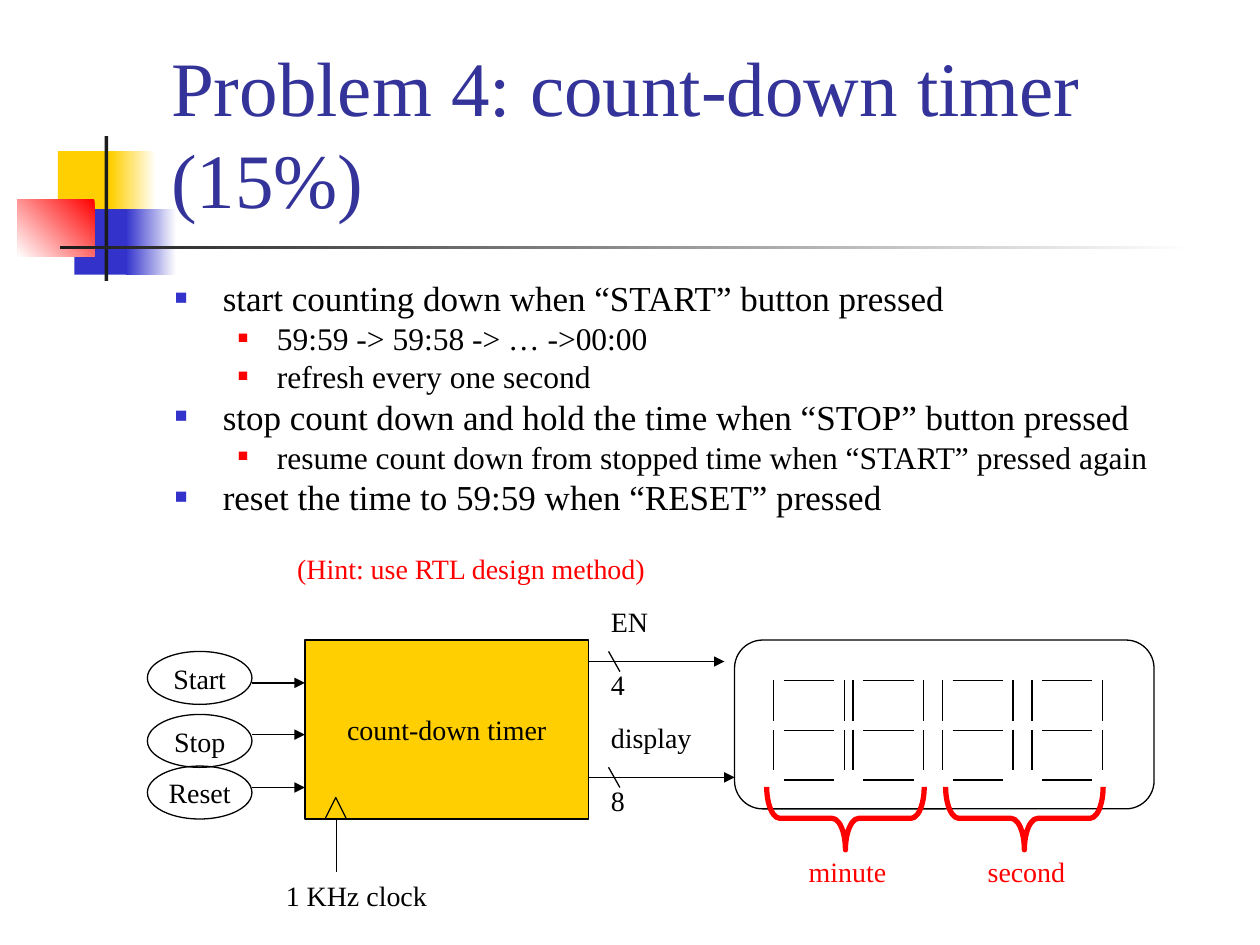
from dataclasses import dataclass

from lxml.etree import SubElement
from pptx import Presentation
from pptx.dml.color import RGBColor as Rgb
from pptx.enum.shapes import MSO_CONNECTOR as Connector
from pptx.enum.shapes import MSO_SHAPE as Preset
from pptx.enum.text import MSO_ANCHOR as Anchor
from pptx.enum.text import MSO_AUTO_SIZE as AutoSize
from pptx.enum.text import PP_ALIGN as Align
from pptx.oxml.ns import qn
from pptx.util import Inches, Pt


@dataclass(frozen=True)
class Theme:
    font: str = "Times New Roman"
    black: str = "000000"
    white: str = "FFFFFF"
    yellow: str = "FFCF01"
    blue: str = "3333CC"
    red: str = "FF0000"
    charcoal: str = "1C1C1C"
    title: str = "333399"
    title_size: int = 44
    label_size: int = 16
    thin: float = 0.75
    thick: float = 3


@dataclass(frozen=True)
class Level:
    size: int
    bullet_color: str
    bullet_percent: int
    indent: float
    hanging: float
    space: float


THEME = Theme()
LEVELS = (
    Level(20, THEME.blue, 60, 0.38, 0.38, 5),
    Level(18, THEME.red, 55, 0.81, 0.31, 4.5),
)


def write(para, text, size=THEME.label_size, color=THEME.black, align=None):
    span = para.add_run()
    span.text = text
    span.font.name = THEME.font
    span.font.size = Pt(size)
    span.font.color.rgb = Rgb.from_string(color)
    if align is not None:
        para.alignment = align


class SlideBuilder:
    def __init__(self, slide, theme):
        self.shapes = slide.shapes
        self.theme = theme

    def shape(self, preset, left, top, width, height, fill=None, line=None,
              weight=THEME.thin, fade=None, angle=180, text=None):
        shape = self.shapes.add_shape(
            preset, Inches(left), Inches(top), Inches(width), Inches(height))
        shape.shadow.inherit = False
        if fade:
            shape.fill.gradient()
            shape.fill.gradient_angle = 360 - angle
            for stop, color in zip(shape.fill.gradient_stops, fade):
                stop.color.rgb = Rgb.from_string(color)
        elif fill:
            shape.fill.solid()
            shape.fill.fore_color.rgb = Rgb.from_string(fill)
        else:
            shape.fill.background()
        if line:
            shape.line.color.rgb = Rgb.from_string(line)
            shape.line.width = Pt(weight)
        else:
            shape.line.fill.background()
        if text:
            frame = shape.text_frame
            frame.word_wrap = False
            frame.vertical_anchor = Anchor.MIDDLE
            write(frame.paragraphs[0], text, align=Align.CENTER)
        return shape

    def line(self, x1, y1, x2, y2, arrow=False):
        line = self.shapes.add_connector(
            Connector.STRAIGHT, Inches(x1), Inches(y1), Inches(x2), Inches(y2))
        line.line.color.rgb = Rgb.from_string(self.theme.black)
        line.line.width = Pt(self.theme.thin)
        if arrow:
            SubElement(line.line._get_or_add_ln(), qn("a:tailEnd"), type="triangle")
        SubElement(line._element.spPr, qn("a:effectLst"))

    def text_box(self, left, top, width, height, wrap=True):
        box = self.shapes.add_textbox(
            Inches(left), Inches(top), Inches(width), Inches(height))
        box.text_frame.word_wrap = wrap
        return box.text_frame

    def label(self, text, left, top, width, color=THEME.black):
        frame = self.text_box(left, top, width, 0.37, wrap=False)
        frame.auto_size = AutoSize.SHAPE_TO_FIT_TEXT
        write(frame.paragraphs[0], text, color=color)

    def title(self, text):
        frame = self.text_box(1.26, 0.23, 8.52, 1.6)
        frame.vertical_anchor = Anchor.BOTTOM
        write(frame.paragraphs[0], text, size=self.theme.title_size, color=self.theme.title)

    def bullets(self, items):
        frame = self.text_box(1.29, 2.21, 8.5, 2.21)
        for index, (depth, text) in enumerate(items):
            level = LEVELS[depth]
            para = frame.paragraphs[0] if index == 0 else frame.add_paragraph()
            para.level = depth
            para.line_spacing = 0.8
            if index:
                para.space_before = Pt(level.space)
            props = para._p.get_or_add_pPr()
            props.set("marL", str(Inches(level.indent)))
            props.set("indent", str(-Inches(level.hanging)))
            color = SubElement(props, qn("a:buClr"))
            SubElement(color, qn("a:srgbClr"), val=level.bullet_color)
            SubElement(props, qn("a:buSzPct"), val=str(level.bullet_percent * 1000))
            SubElement(props, qn("a:buFont"), typeface=self.theme.font)
            SubElement(props, qn("a:buChar"), char="■")
            write(para, text, size=level.size)

    def decoration(self):
        theme = self.theme
        for left, top, width, height, style in (
            (0.46, 1.2, 0.48, 0.52, {"fill": theme.yellow}),
            (0.88, 1.2, 0.36, 0.52, {"fade": (theme.white, theme.yellow)}),
            (0.59, 1.66, 0.46, 0.52, {"fill": theme.blue}),
            (1, 1.66, 0.4, 0.52, {"fade": (theme.white, theme.blue)}),
            (0.14, 1.58, 0.61, 0.46, {"fade": (theme.red, theme.white), "angle": 135}),
            (0.83, 1.08, 0.03, 1.15, {"fill": theme.charcoal}),
            (0.48, 1.95, 9, 0.03, {"fade": (theme.white, theme.charcoal)}),
        ):
            self.shape(Preset.RECTANGLE, left, top, width, height, **style)

    def output_bus(self, name, name_width, bits, y, end):
        self.line(4.67, y, end, y, arrow=True)
        self.line(4.83, y - 0.08, 4.92, y + 0.08)
        self.label(bits, 4.75, y, 0.35)
        self.label(name, 4.75, y - 0.5, name_width)

    def digit(self, left, top=5.4):
        for row in range(3):
            y = top + row * 0.395
            self.line(left + 0.08, y, left + 0.48, y)
        for x in (left, left + 0.56):
            for y in (top, top + 0.39):
                self.line(x, y, x, y + 0.32)

    def brace(self, text, left):
        brace = self.shape(Preset.LEFT_BRACE, left, 5.87, 0.5, 1.25,
                           line=self.theme.red, weight=self.theme.thick)
        brace.rotation = 270
        brace.adjustments[0] = 0.21
        self.label(text, left - 0.14, 6.73, 0.85, color=self.theme.red)

    def button(self, text, top, arrow_y):
        self.shape(Preset.OVAL, 1.17, top, 0.83, 0.42, line=self.theme.black, text=text)
        self.line(2, arrow_y, 2.42, arrow_y, arrow=True)


def main():
    deck = Presentation()
    deck.slide_width, deck.slide_height = Inches(10), Inches(7.5)
    page = SlideBuilder(deck.slides.add_slide(deck.slide_layouts[6]), THEME)

    page.decoration()
    page.title("Problem 4: count-down timer (15%)")
    page.bullets((
        (0, "start counting down when “START” button pressed"),
        (1, "59:59 -> 59:58 -> … ->00:00"),
        (1, "refresh every one second"),
        (0, "stop count down and hold the time when “STOP” button pressed"),
        (1, "resume count down from stopped time when “START” pressed again"),
        (0, "reset the time to 59:59 when “RESET” pressed"),
    ))

    page.shape(Preset.RECTANGLE, 2.42, 5.08, 2.25, 1.42, fill=THEME.yellow,
               line=THEME.black, text="count-down timer")
    page.shape(Preset.ISOSCELES_TRIANGLE, 2.58, 6.33, 0.17, 0.17, line=THEME.black)
    page.line(2.67, 6.5, 2.67, 6.92)
    page.label("1 KHz clock", 2.17, 6.92, 1.36)

    page.output_bus("EN", 0.53, "4", 5.25, 5.75)
    page.output_bus("display", 0.88, "8", 6.17, 5.83)

    for left in (6.14, 6.77, 7.48, 8.19):
        page.digit(left)
    page.shape(Preset.ROUNDED_RECTANGLE, 5.83, 5.08, 3.33, 1.34, line=THEME.black)
    page.brace("second", 7.88)
    page.brace("minute", 6.46)

    for text, top, arrow_y in (
        ("Start", 5.17, 5.42), ("Stop", 5.67, 5.83), ("Reset", 6.08, 6.25),
    ):
        page.button(text, top, arrow_y)
    page.label("(Hint: use RTL design method)", 2.26, 4.33, 3.02, color=THEME.red)

    deck.save("out.pptx")


if __name__ == "__main__":
    main()
